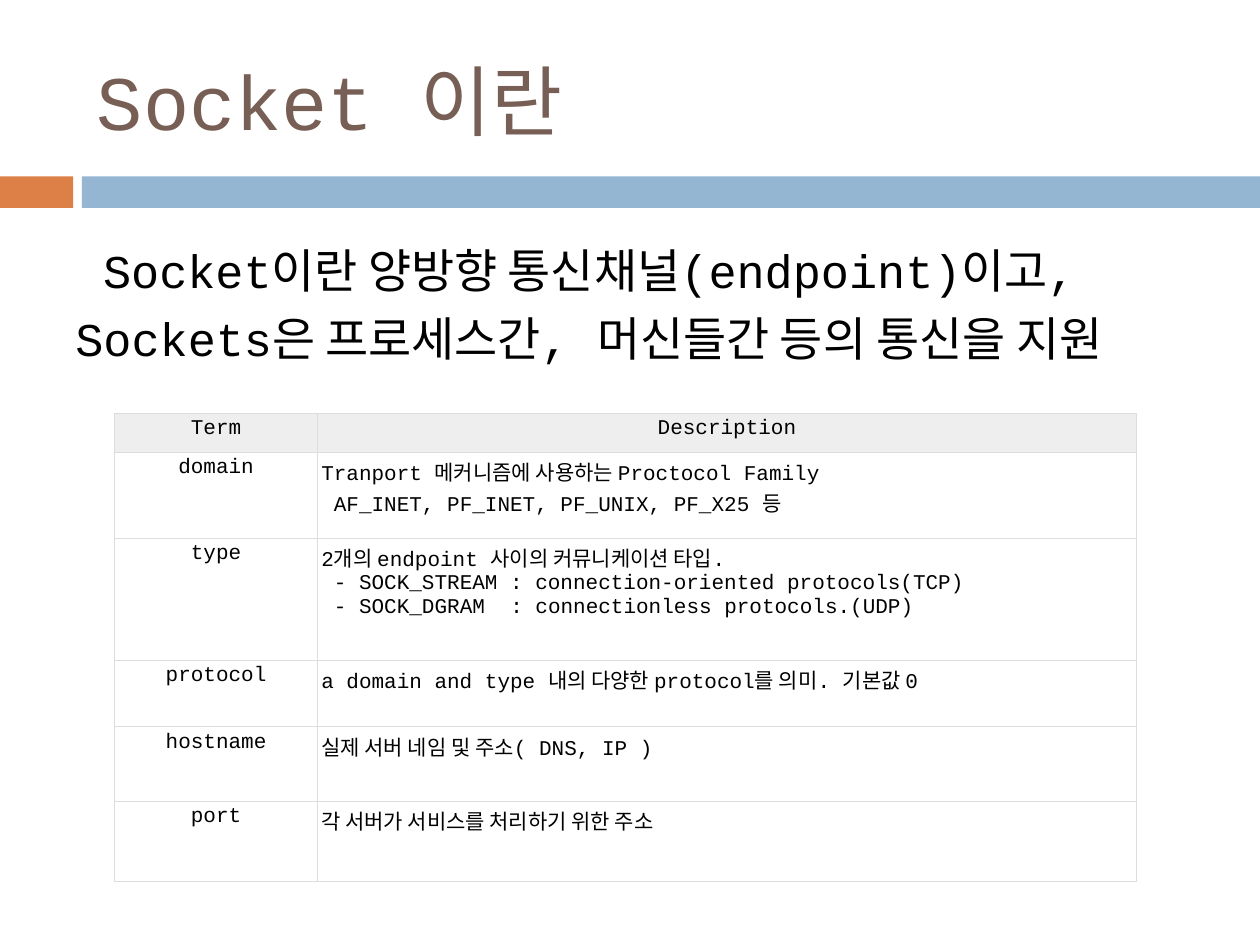
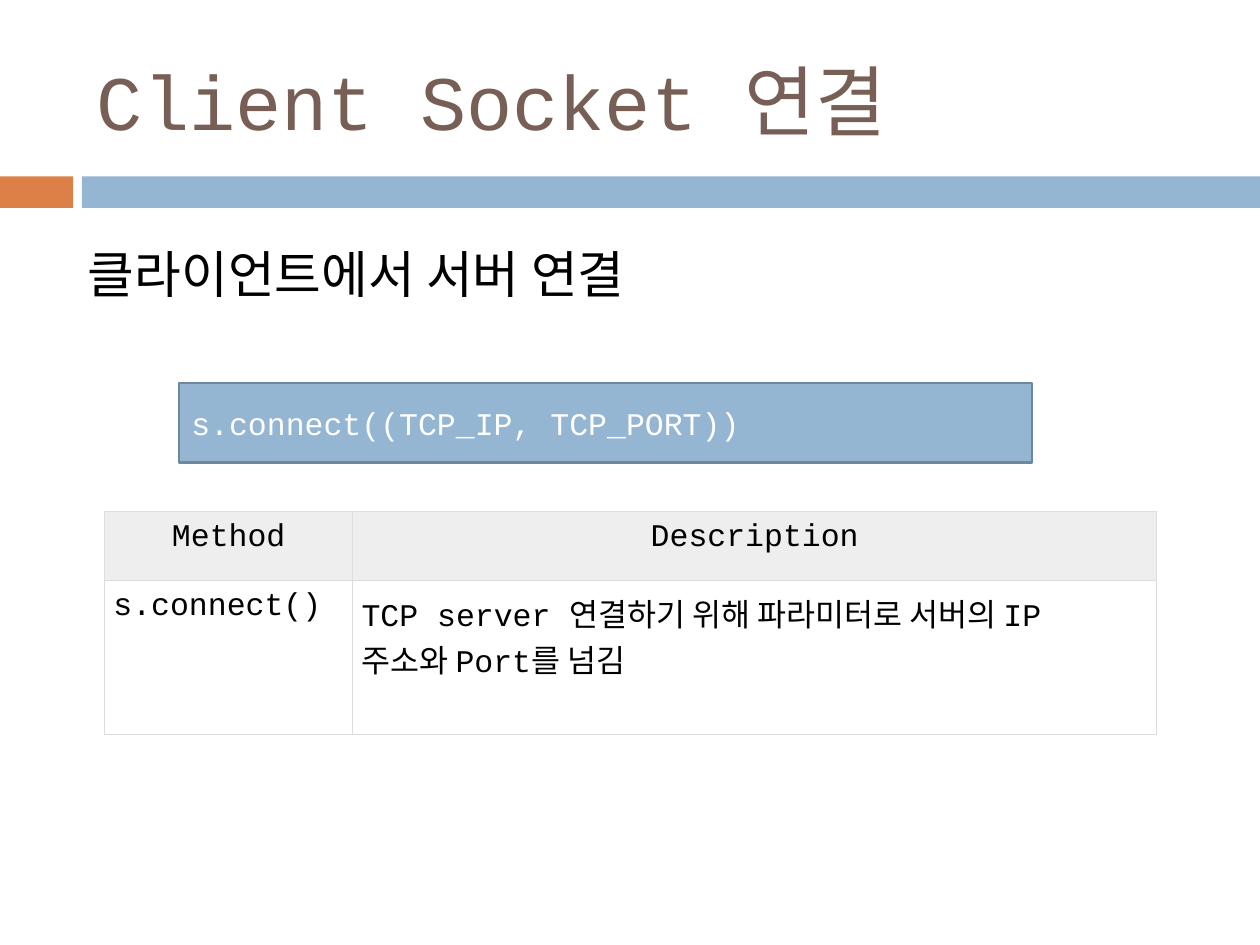
"""Builds two slides that introduce sockets and the client connection."""
from dataclasses import dataclass

from lxml import etree
from pptx import Presentation
from pptx import util as u
from pptx.dml.color import RGBColor
from pptx.enum import shapes, text
from pptx.oxml import ns

LEFT, CENTER = text.PP_ALIGN.LEFT, text.PP_ALIGN.CENTER
TOP, MIDDLE = text.MSO_ANCHOR.TOP, text.MSO_ANCHOR.MIDDLE


@dataclass(frozen=True)
class Theme:
    font: str = "Courier New"
    title: str = "775F55"
    ink: str = "000000"
    paper: str = "FFFFFF"
    accent: str = "DD8047"
    band: str = "94B6D2"
    outline: str = "6D879B"
    header: str = "EEEEEE"
    rule: str = "DDDDDD"
    title_size: float = 44
    term_size: float = 12
    code_size: float = 18
    rule_width: float = 0.6
    outline_width: float = 1.5


THEME = Theme()
COLUMNS, ROWS = 100, 75
SLIDE_WIDTH, SLIDE_HEIGHT = u.Inches(10), u.Inches(7.5)


def across(columns):
    return u.Emu(round(SLIDE_WIDTH * columns / COLUMNS))


def down(rows):
    return u.Emu(round(SLIDE_HEIGHT * rows / ROWS))


def place(left, top, width, height):
    return across(left), down(top), across(width), down(height)


def add_tab_stop(paragraph, columns):
    stops = etree.SubElement(paragraph._p.get_or_add_pPr(), ns.qn("a:tabLst"))
    etree.SubElement(stops, ns.qn("a:tab"), pos=str(across(columns)), algn="l")


def write(frame, content, *, size, color=THEME.ink, align=LEFT, anchor=TOP,
          spacing=None, before=0, indents=(), tab=None):
    frame.word_wrap = True
    frame.vertical_anchor = anchor
    for index, line in enumerate(content.split("\n")):
        paragraph = frame.add_paragraph() if index else frame.paragraphs[0]
        paragraph.text = line
        paragraph.alignment = align
        paragraph.space_before = u.Pt(before)
        if spacing:
            paragraph.line_spacing = spacing
        if index < len(indents):
            paragraph._p.get_or_add_pPr().set("indent", str(across(indents[index])))
        if tab and "\t" in line:
            add_tab_stop(paragraph, tab)
        for run in paragraph.runs:
            run.font.name = THEME.font
            run.font.size = u.Pt(size)
            run.font.color.rgb = RGBColor.from_string(color)


def add_text(slide, area, content, **style):
    shape = slide.shapes.add_textbox(*place(*area))
    write(shape.text_frame, content, **style)


def add_box(slide, area, fill, outline=None):
    shape = slide.shapes.add_shape(shapes.MSO_SHAPE.RECTANGLE, *place(*area))
    shape.shadow.inherit = False
    shape.fill.solid()
    shape.fill.fore_color.rgb = RGBColor.from_string(fill)
    if outline:
        shape.line.color.rgb = RGBColor.from_string(outline)
        shape.line.width = u.Pt(THEME.outline_width)
    else:
        shape.line.fill.background()
    return shape


def add_borders(cell):
    properties = cell._tc.get_or_add_tcPr()
    for index, side in enumerate(("lnL", "lnR", "lnT", "lnB")):
        line = etree.Element(ns.qn(f"a:{side}"), w=str(u.Pt(THEME.rule_width)))
        fill = etree.SubElement(line, ns.qn("a:solidFill"))
        etree.SubElement(fill, ns.qn("a:srgbClr"), val=THEME.rule)
        properties.insert(index, line)


def add_table(slide, corner, widths, heights, content, *, size, inset,
              first_align=CENTER, formats=None):
    """Draws a two-tone table; formats maps (row, column) to extra text format."""
    area = place(*corner, sum(widths), sum(heights))
    table = slide.shapes.add_table(len(heights), len(widths), *area).table
    table.first_row = table.horz_banding = False
    for column, width in zip(table.columns, widths):
        column.width = across(width)
    for row, height in zip(table.rows, heights):
        row.height = down(height)
    for row, values in enumerate(content):
        for column, value in enumerate(values):
            cell = table.cell(row, column)
            cell.margin_left = cell.margin_right = across(inset)
            cell.margin_top = cell.margin_bottom = down(inset)
            if row == 0:
                cell.fill.solid()
                cell.fill.fore_color.rgb = RGBColor.from_string(THEME.header)
            else:
                cell.fill.background()
            add_borders(cell)
            align = CENTER if row == 0 else first_align if column == 0 else LEFT
            extra = (formats or {}).get((row, column), {})
            write(cell.text_frame, value, size=size, align=align, **extra)


def add_slide(presentation, title, lead, lead_size, lead_indent):
    slide = presentation.slides.add_slide(presentation.slide_layouts[6])
    add_box(slide, (0, 14, 5.8, 2.5), THEME.accent)
    add_box(slide, (6.5, 14, 93.5, 2.5), THEME.band)
    add_text(slide, (6.7, 2.5, 89.2, 10.8), title, size=THEME.title_size,
             color=THEME.title, anchor=MIDDLE)
    add_text(slide, (5, 17.8, 90, 14.2), lead, size=lead_size, spacing=1.2,
             before=7, indents=(lead_indent,))
    return slide


def add_socket_slide(presentation):
    slide = add_slide(
        presentation, "Socket 이란",
        "Socket이란 양방향 통신채널(endpoint)이고, "
        "Sockets은 프로세스간, 머신들간 등의 통신을 지원", 26.8, 2.2)
    terms = (
        ("Term", "Description"),
        ("domain", "Tranport 메커니즘에 사용하는 Proctocol Family\n"
                   "AF_INET, PF_INET, PF_UNIX, PF_X25 등"),
        ("type", "2개의 endpoint 사이의 커뮤니케이션 타입.\n"
                 "- SOCK_STREAM : connection-oriented protocols(TCP)\n"
                 "- SOCK_DGRAM\t: connectionless protocols.(UDP)"),
        ("protocol", "a domain and type 내의 다양한 protocol를 의미. 기본값 0"),
        ("hostname", "실제 서버 네임 및 주소( DNS, IP )"),
        ("port", "각 서버가 서비스를 처리하기 위한 주소"),
    )
    add_table(slide, (9.1, 32.8), (16.1, 65), (3.1, 6.8, 9.7, 5.3, 5.9, 6.4),
              terms, size=THEME.term_size, inset=0.3,
              formats={(1, 1): {"indents": (0, 1)},
                       (2, 1): {"indents": (0, 1, 1), "tab": 15}})


def add_connect_slide(presentation):
    slide = add_slide(presentation, "Client Socket 연결",
                      "클라이언트에서 서버 연결", 29, 1)
    methods = (
        ("Method", "Description"),
        ("s.connect()", "TCP server 연결하기 위해 파라미터로 서버의 IP\v"
                        "주소와 Port를 넘김"),
    )
    add_table(slide, (8.3, 40.6), (19.7, 63.8), (5.5, 12.2), methods,
              size=THEME.code_size, inset=0.7, first_align=LEFT)
    code = add_box(slide, (14.2, 30.4, 67.7, 6.3), THEME.band, THEME.outline)
    write(code.text_frame, "s.connect((TCP_IP, TCP_PORT))",
          size=THEME.code_size, color=THEME.paper, anchor=MIDDLE)


def main():
    presentation = Presentation()
    presentation.slide_width = SLIDE_WIDTH
    presentation.slide_height = SLIDE_HEIGHT
    add_socket_slide(presentation)
    add_connect_slide(presentation)
    presentation.save("out.pptx")


main()
